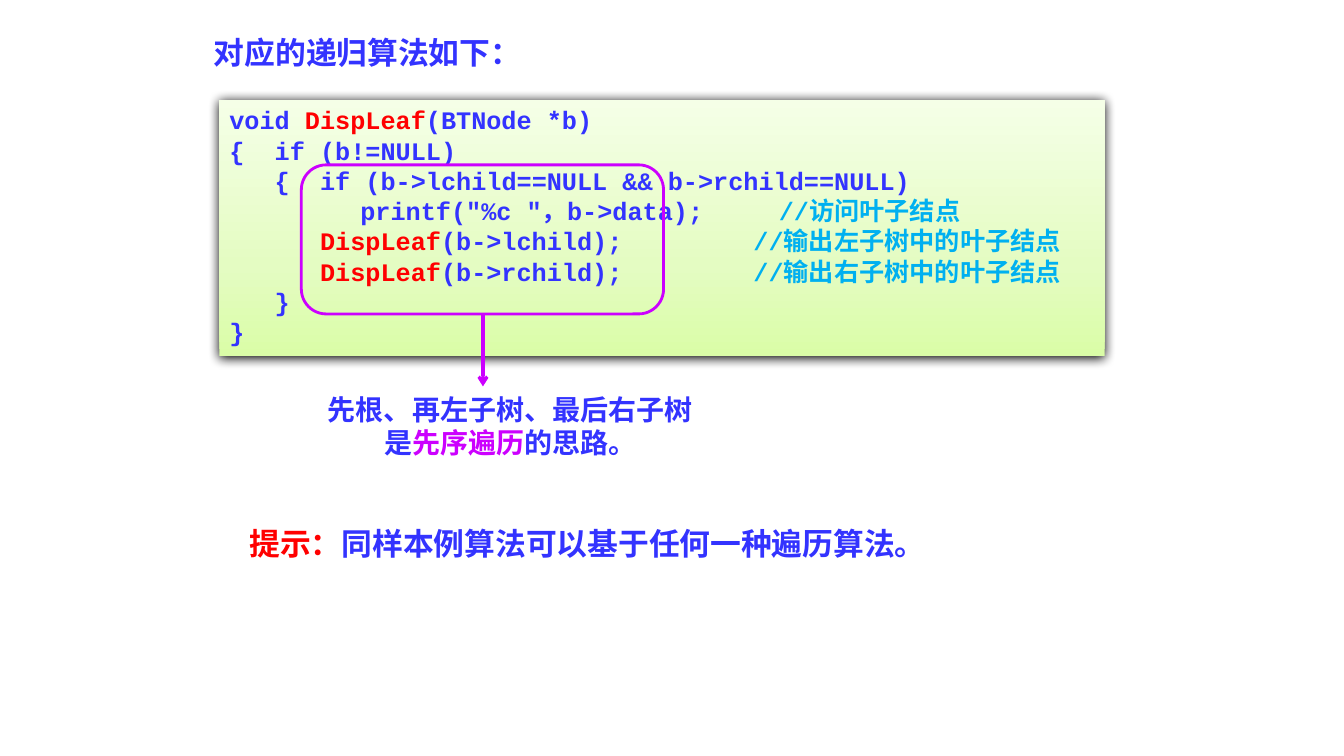
"""Builds the slide on the recursive algorithm that prints leaf nodes."""
from pptx import Presentation, util as u
from pptx.dml.color import RGBColor
from pptx.enum import shapes, text
from pptx.oxml import parse_xml
from pptx.oxml.ns import nsdecls, qn

PX = 9525
HUES = {"blue": "3333FF", "red": "FF0000", "sky": "00B0F0", "pink": "CC00FF",
        "deep": "DAFDA7", "mid": "E4FCC2", "pale": "F5FFE7", "dark": "000000"}
MONO, SERIF, SANS = "Courier New", "Times New Roman", "Noto Sans CJK SC"
CALL = ("DispLeaf", "red")
CODE = [
    ["void ", CALL, "(BTNode *b)"],
    ["{  if (b!=NULL)"],
    ["   {  if (b->lchild==NULL && b->rchild==NULL)"],
    ["\t  printf(\"%c \"，b->data);     ", ("//访问叶子结点", "sky")],
    ["      ", CALL, "(b->lchild);\t        ", ("//输出左子树中的叶子结点", "sky")],
    ["      ", CALL, "(b->rchild);\t        ", ("//输出右子树中的叶子结点", "sky")],
    ["   }"],
    ["}"],
]
NOTE = [["先根、再左子树、最后右子树"], ["是", ("先序遍历", "pink"), "的思路。"]]
TIP = [[("提示：", "red"), "同样本例算法可以基于任何一种遍历算法。"]]


def rgb(hue):
    return RGBColor.from_string(HUES[hue])


def px(*sizes):
    return [u.Emu(size * PX) for size in sizes]


def write(shape, lines, font, size, align=text.PP_ALIGN.LEFT, space=None):
    frame = shape.text_frame
    frame.word_wrap = True
    frame.auto_size = text.MSO_AUTO_SIZE.NONE
    frame.vertical_anchor = text.MSO_ANCHOR.TOP
    for i, line in enumerate(lines):
        para = frame.add_paragraph() if i else frame.paragraphs[0]
        para.alignment = align
        para.line_spacing = space
        para._p.get_or_add_pPr().set("defTabSz", str(u.Inches(1)))
        para.font.name, para.font.size, para.font.bold = font, u.Pt(size), True
        para.font.color.rgb = rgb("blue")
        base = para._p.pPr.find(qn("a:defRPr"))
        base.append(parse_xml(f'<a:ea {nsdecls("a")} typeface="{SANS}"/>'))
        for part in line:
            words, hue = (part, None) if isinstance(part, str) else part
            run = para.add_run()
            run.text = words
            if hue:
                run.font.color.rgb = rgb(hue)


def add_text(host, box, lines, *style):
    write(host.add_textbox(*px(*box)), lines, *style)


def add_code(host, box):
    panel = host.add_shape(shapes.MSO_SHAPE.RECTANGLE, *px(*box))
    panel.line.fill.background()
    panel.fill.gradient()
    panel.fill.gradient_angle = 90
    stops = "".join(
        f'<a:gs pos="{pos}000"><a:srgbClr val="{HUES[hue]}"/></a:gs>'
        for pos, hue in ((0, "deep"), (35, "mid"), (100, "pale")))
    props = panel._element.spPr
    grad = props.find(qn("a:gradFill"))
    grad.replace(grad.find(qn("a:gsLst")),
                 parse_xml(f'<a:gsLst {nsdecls("a")}>{stops}</a:gsLst>'))
    props.append(parse_xml(
        f'<a:effectLst {nsdecls("a")}><a:outerShdw blurRad="{u.Pt(8.5)}" '
        f'dist="{u.Pt(1)}" dir="5400000" algn="t" rotWithShape="0">'
        f'<a:srgbClr val="{HUES["dark"]}"/></a:outerShdw></a:effectLst>'))
    write(panel, CODE, MONO, 18)


def add_frame(host, box):
    frame = host.add_shape(shapes.MSO_SHAPE.ROUNDED_RECTANGLE, *px(*box))
    frame.shadow.inherit = False
    frame.fill.background()
    frame.line.color.rgb = rgb("pink")
    frame.line.width = u.Pt(2)


def add_arrow(host, ends):
    arrow = host.add_connector(shapes.MSO_CONNECTOR.STRAIGHT, *px(*ends))
    arrow.line.color.rgb = rgb("pink")
    arrow.line.width = u.Pt(2.25)
    arrow.line._get_or_add_ln().append(
        parse_xml(f'<a:tailEnd {nsdecls("a")} type="arrow"/>'))
    arrow._element.spPr.append(parse_xml(f'<a:effectLst {nsdecls("a")}/>'))


def main():
    deck = Presentation()
    deck.slide_width, deck.slide_height = px(1280, 720)
    slide = deck.slides.add_slide(deck.slide_layouts[5])
    title = slide.shapes.title
    title.left, title.top, title.width, title.height = px(194, 20, 431, 48)
    write(title, [["对应的递归算法如下："]], SERIF, 22, text.PP_ALIGN.LEFT, 1.2)
    add_code(slide.shapes, (209, 95, 843, 244))
    group = slide.shapes.add_group_shape().shapes
    add_frame(group, (287, 157, 345, 142))
    add_arrow(group, (460, 300, 460, 368))
    add_text(group, (257, 369, 458, 74), NOTE, SERIF, 20, text.PP_ALIGN.CENTER)
    add_text(slide.shapes, (228, 495, 740, 45), TIP, SANS, 22)
    deck.save("out.pptx")


if __name__ == "__main__":
    main()
